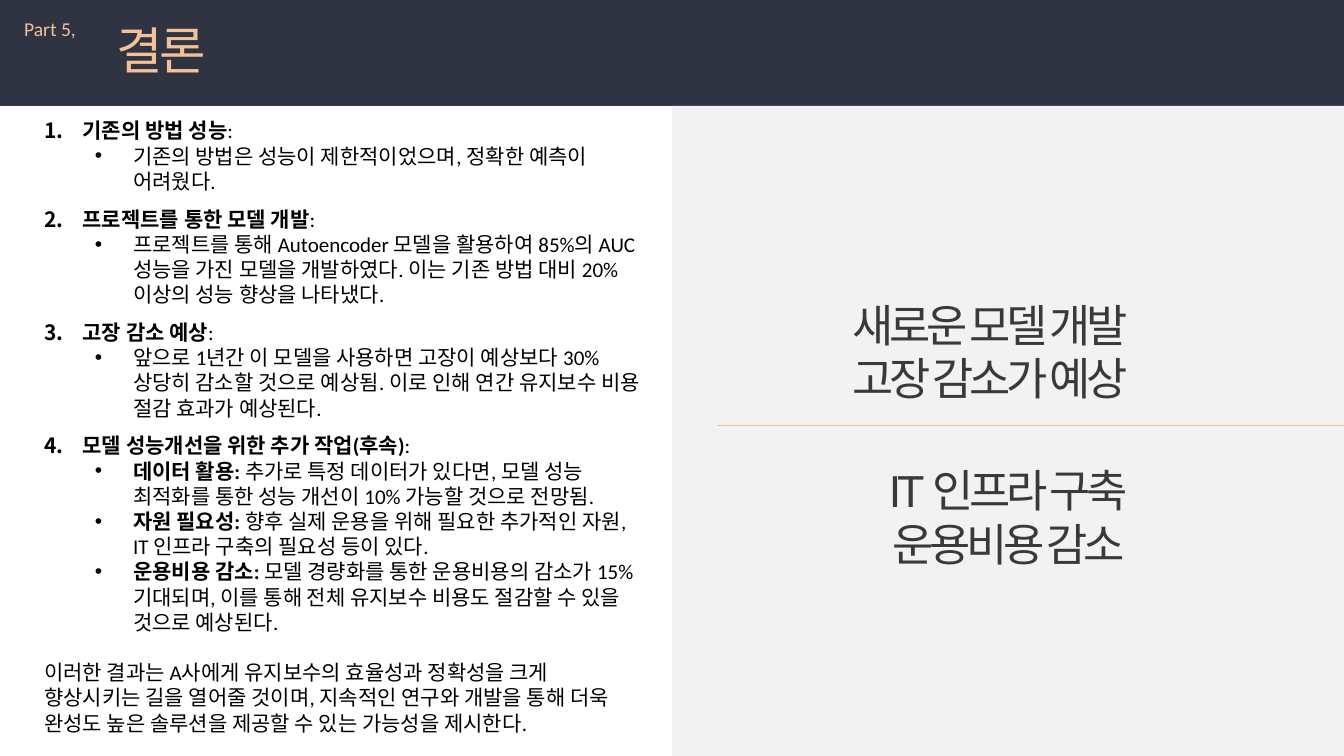
"""Build the conclusion slide: findings on the left, two key messages on the right."""
from lxml.etree import SubElement
from pptx import Presentation
from pptx.dml.color import RGBColor
from pptx.enum.shapes import MSO_CONNECTOR as Connector, MSO_SHAPE as Shape
from pptx.enum.text import MSO_ANCHOR as Anchor, MSO_AUTO_SIZE as AutoSize, PP_ALIGN as Align
from pptx.oxml.ns import qn
from pptx.util import Inches, Pt

NAVY, PANEL, PEACH, CHARCOAL, BLACK = "2F3342", "F2F2F2", "F2C19A", "3B3838", "000000"
SLIDE_W, SLIDE_H, BAND_H = 13.33, 7.5, 1.05
HALF_W = SLIDE_W / 2

PART, TITLE = "Part 5,", "결론"
FINDINGS = [
    ("기존의 방법 성능", [
        ("", "기존의 방법은 성능이 제한적이었으며, 정확한 예측이 어려웠다."),
    ]),
    ("프로젝트를 통한 모델 개발", [
        ("", "프로젝트를 통해 Autoencoder 모델을 활용하여 85%의 AUC 성능을 가진 모델을 "
             "개발하였다. 이는 기존 방법 대비 20% 이상의 성능 향상을 나타냈다."),
    ]),
    ("고장 감소 예상", [
        ("", "앞으로 1년간 이 모델을 사용하면 고장이 예상보다 30% 상당히 감소할 것으로 "
             "예상됨. 이로 인해 연간 유지보수 비용 절감 효과가 예상된다."),
    ]),
    ("모델 성능개선을 위한 추가 작업(후속)", [
        ("데이터 활용: ", "추가로 특정 데이터가 있다면, 모델 성능 최적화를 통한 성능 개선이 "
                     "10% 가능할 것으로 전망됨."),
        ("자원 필요성: ", "향후 실제 운용을 위해 필요한 추가적인 자원, IT 인프라 구축의 "
                     "필요성 등이 있다."),
        ("운용비용 감소: ", "모델 경량화를 통한 운용비용의 감소가 15% 기대되며, 이를 통해 "
                      "전체 유지보수 비용도 절감할 수 있을 것으로 예상된다."),
    ]),
]
CLOSING = ("이러한 결과는 A사에게 유지보수의 효율성과 정확성을 크게 향상시키는 길을 열어줄 것이며, "
           "지속적인 연구와 개발을 통해 더욱 완성도 높은 솔루션을 제공할 수 있는 가능성을 제시한다.")
MESSAGES = [
    (2.9, Align.LEFT, False, ["새로운 모델 개발", "고장 감소가 예상"]),
    (4.54, Align.CENTER, True, ["IT 인프라 구축", "운용비용 감소"]),
]

BODY_FONT = {"size": Pt(15), "name": "Calibri", "bold": False}
TITLE_FONT = {"size": Pt(36), "name": "Calibri", "bold": False}
PART_FONT = {"size": Pt(14), "name": "Calibri"}
MESSAGE_FONT = {"size": Pt(32), "name": "Arial"}
HEADING = {"level": 0, "line_spacing": 1.5}
DETAIL = {"level": 1, "line_spacing": 1.0}


def rgb(color):
    return RGBColor.from_string(color)


def apply(target, values):
    for key, value in values.items():
        setattr(target, key, value)


def place(holder, left, top, width, height):
    apply(holder, {"left": Inches(left), "top": Inches(top),
                   "width": Inches(width), "height": Inches(height)})


def frame_of(holder, wrap=True):
    frame = holder.text_frame
    apply(frame, {"word_wrap": wrap, "auto_size": AutoSize.SHAPE_TO_FIT_TEXT,
                  "vertical_anchor": Anchor.TOP})
    return frame


def next_paragraph(frame):
    first = frame.paragraphs[0]
    return frame.add_paragraph() if first.runs else first


def add_run(paragraph, text, font, color, spacing=0, **extra):
    run = paragraph.add_run()
    run.text = text
    apply(run.font, {**font, **extra})
    run.font.color.rgb = rgb(color)
    if spacing:
        run.font._element.set("spc", str(spacing * 100))


def set_bullet(paragraph, left, hanging, tag, **attributes):
    properties = paragraph._p.get_or_add_pPr()
    properties.set("marL", str(Inches(left)))
    properties.set("indent", str(Inches(-hanging)))
    if tag == "a:buChar":
        SubElement(properties, qn("a:buFont"), typeface="Arial")
    SubElement(properties, qn(tag), **attributes)


def add_block(slide, left, top, width, height, color):
    block = slide.shapes.add_shape(Shape.RECTANGLE, Inches(left), Inches(top),
                                   Inches(width), Inches(height))
    block.shadow.inherit = False
    block.fill.solid()
    block.fill.fore_color.rgb = rgb(color)
    block.line.fill.background()
    slide.shapes._spTree.insert(2, block._element)


def add_divider(slide, left, y):
    divider = slide.shapes.add_connector(Connector.STRAIGHT, Inches(left), Inches(y),
                                         Inches(SLIDE_W), Inches(y))
    divider.line.color.rgb = rgb(PEACH)
    divider.line.width = Pt(0.5)
    SubElement(divider._element.spPr, qn("a:effectLst"))


def add_label(slide, box, lines, font, color, align=Align.LEFT, wrap=False, spacing=0):
    label = slide.shapes.add_textbox(*map(Inches, box))
    frame = frame_of(label, wrap)
    for line in lines:
        paragraph = next_paragraph(frame)
        paragraph.alignment = align
        add_run(paragraph, line, font, color, spacing)


def fill_title(title):
    place(title, 1.06, 0.14, 4.5, 0.71)
    paragraph = frame_of(title).paragraphs[0]
    paragraph.alignment = Align.LEFT
    add_run(paragraph, TITLE, TITLE_FONT, PEACH, -3)


def fill_findings(body):
    place(body, 0.34, 1.12, 6.13, 6.52)
    frame = frame_of(body)
    for index, (heading, details) in enumerate(FINDINGS):
        paragraph = next_paragraph(frame)
        apply(paragraph, {**HEADING, "space_before": Pt(0)})
        if index == 0:
            paragraph.line_spacing = 1.0
        set_bullet(paragraph, 0.38, 0.38, "a:buAutoNum", type="arabicPeriod")
        add_run(paragraph, heading, BODY_FONT, BLACK, bold=True)
        add_run(paragraph, ":", BODY_FONT, BLACK)
        for lead, detail in details:
            paragraph = next_paragraph(frame)
            apply(paragraph, {**DETAIL, "space_before": Pt(0)})
            set_bullet(paragraph, 0.88, 0.38, "a:buChar", char="•")
            if lead:
                add_run(paragraph, lead, BODY_FONT, BLACK, bold=True)
            add_run(paragraph, detail, BODY_FONT, BLACK)
    closing = next_paragraph(frame)
    apply(closing, {"line_spacing": 1.0, "space_before": Pt(18)})
    set_bullet(closing, 0, 0, "a:buNone")
    add_run(closing, CLOSING, BODY_FONT, BLACK)


def main():
    deck = Presentation()
    apply(deck, {"slide_width": Inches(SLIDE_W), "slide_height": Inches(SLIDE_H)})
    slide = deck.slides.add_slide(deck.slide_layouts[1])
    add_block(slide, HALF_W, BAND_H, HALF_W, SLIDE_H - BAND_H, PANEL)
    add_block(slide, 0, 0, SLIDE_W, BAND_H, NAVY)
    fill_title(slide.shapes.title)
    fill_findings(slide.placeholders[1])
    add_label(slide, (0.14, 0.12, 0.72, 0.34), [PART], PART_FONT, PEACH)
    add_divider(slide, 7.11, 4.22)
    for top, align, wrap, lines in MESSAGES:
        add_label(slide, (8.36, top, 3.28, 1.18), lines, MESSAGE_FONT, CHARCOAL,
                  align, wrap, -3)
    deck.save("out.pptx")


if __name__ == "__main__":
    main()
